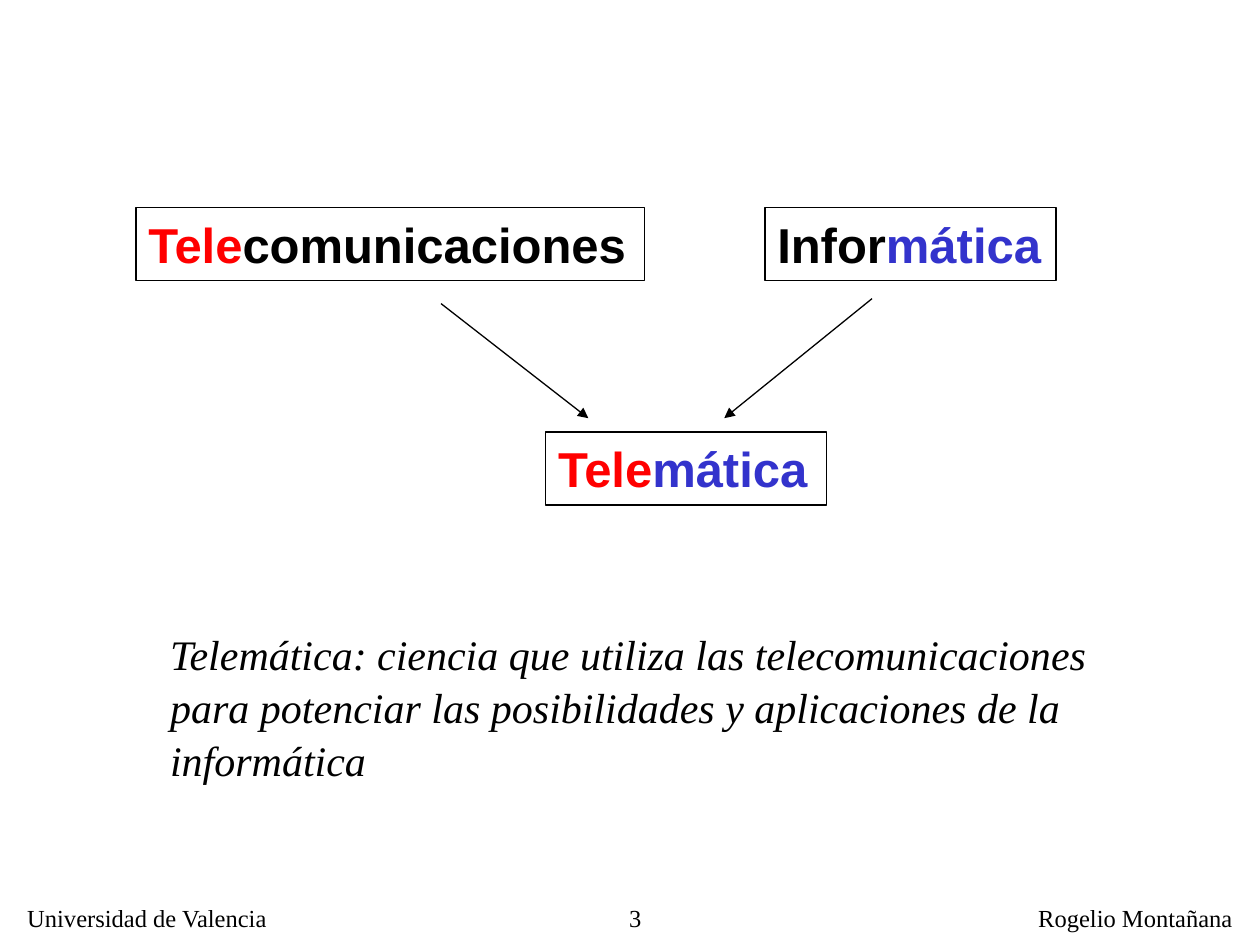
from dataclasses import dataclass

import pptx
import pptx.dml.color
import pptx.enum.shapes
import pptx.enum.text
import pptx.oxml
import pptx.oxml.ns
import pptx.slide
import pptx.util
from pptx.util import Cm, Pt

COLORS = {"ink": "000000", "tele": "FF0000", "matica": "3333CC"}
SERIF, SANS = "Times New Roman", "Arial"
ALIGN = pptx.enum.text.PP_ALIGN


@dataclass(frozen=True)
class Term:
    """A boxed word made of (text, color name) syllables."""
    left: float
    top: float
    width: float
    syllables: tuple[tuple[str, str], ...]


@dataclass(frozen=True)
class Arrow:
    start: tuple[float, float]
    end: tuple[float, float]


@dataclass(frozen=True)
class Note:
    text: str
    left: float
    top: float
    width: float
    height: float
    size: int = 14
    align: ALIGN = ALIGN.LEFT
    italic: bool = False
    wrap: bool = False
    line_spacing: float = 1.0


SOURCES_TOP, RESULT_TOP, TERM_HEIGHT = 4.19, 8.71, 1.47
FOOTER_TOP, FOOTER_HEIGHT = 18.08, 0.84

TERMS = (
    Term(2.74, SOURCES_TOP, 10.26, (("Tele", "tele"), ("comunicaciones", "ink"))),
    Term(15.42, SOURCES_TOP, 5.87, (("Infor", "ink"), ("mática", "matica"))),
    Term(11.0, RESULT_TOP, 5.66, (("Tele", "tele"), ("mática", "matica"))),
)
ARROWS = (
    Arrow((8.89, 6.12), (11.86, 8.43)),
    Arrow((17.58, 6.02), (14.6, 8.43)),
)
NOTES = (
    Note("Universidad de Valencia", 0.3, FOOTER_TOP, 5.41, FOOTER_HEIGHT),
    Note("Rogelio Montañana", 20.68, FOOTER_TOP, 4.42, FOOTER_HEIGHT),
    Note("3", 10.49, FOOTER_TOP, 2.69, FOOTER_HEIGHT, align=ALIGN.RIGHT, wrap=True),
    Note("Telemática: ciencia que utiliza las telecomunicaciones para potenciar "
         "las posibilidades y aplicaciones de la informática",
         3.18, 12.5, 19.05, 3.3, size=24, italic=True, wrap=True, line_spacing=1.05),
)


def rgb(name: str) -> pptx.dml.color.RGBColor:
    return pptx.dml.color.RGBColor.from_string(COLORS[name])


def draw_term(slide: pptx.slide.Slide, term: Term) -> None:
    box = slide.shapes.add_shape(
        pptx.enum.shapes.MSO_SHAPE.RECTANGLE,
        Cm(term.left), Cm(term.top), Cm(term.width), Cm(TERM_HEIGHT))
    box.shadow.inherit = False
    box.fill.background()
    box.line.color.rgb = rgb("ink")
    box.line.width = Pt(0.75)
    box.text_frame.word_wrap = False
    box.text_frame.vertical_anchor = pptx.enum.text.MSO_ANCHOR.TOP
    word = box.text_frame.paragraphs[0]
    word.alignment = ALIGN.LEFT
    word.font.name, word.font.size, word.font.bold = SANS, Pt(28), True
    for text, color in term.syllables:
        syllable = word.add_run()
        syllable.text = text
        syllable.font.color.rgb = rgb(color)


def draw_arrow(slide: pptx.slide.Slide, arrow: Arrow) -> None:
    connector = slide.shapes.add_connector(
        pptx.enum.shapes.MSO_CONNECTOR.STRAIGHT,
        *map(Cm, arrow.start), *map(Cm, arrow.end))
    connector.line.color.rgb = rgb("ink")
    connector.line.width = Pt(0.75)
    namespace = pptx.oxml.ns.nsdecls("a")
    properties = connector._element.spPr
    outline = properties.find(pptx.oxml.ns.qn("a:ln"))
    outline.append(pptx.oxml.parse_xml(f'<a:tailEnd {namespace} type="triangle"/>'))
    properties.append(pptx.oxml.parse_xml(f"<a:effectLst {namespace}/>"))


def draw_note(slide: pptx.slide.Slide, note: Note) -> None:
    box = slide.shapes.add_textbox(
        Cm(note.left), Cm(note.top), Cm(note.width), Cm(note.height))
    box.text_frame.word_wrap = note.wrap
    paragraph = box.text_frame.paragraphs[0]
    paragraph.text = note.text
    paragraph.alignment = note.align
    paragraph.line_spacing = note.line_spacing
    font = paragraph.font
    font.name, font.size, font.italic = SERIF, Pt(note.size), note.italic
    font.color.rgb = rgb("ink")


def main() -> None:
    deck = pptx.Presentation()
    deck.slide_width, deck.slide_height = Cm(25.4), Cm(19.05)
    slide = deck.slides.add_slide(deck.slide_layouts[6])
    for term in TERMS:
        draw_term(slide, term)
    for arrow in ARROWS:
        draw_arrow(slide, arrow)
    for note in NOTES:
        draw_note(slide, note)
    deck.save("out.pptx")


if __name__ == "__main__":
    main()
